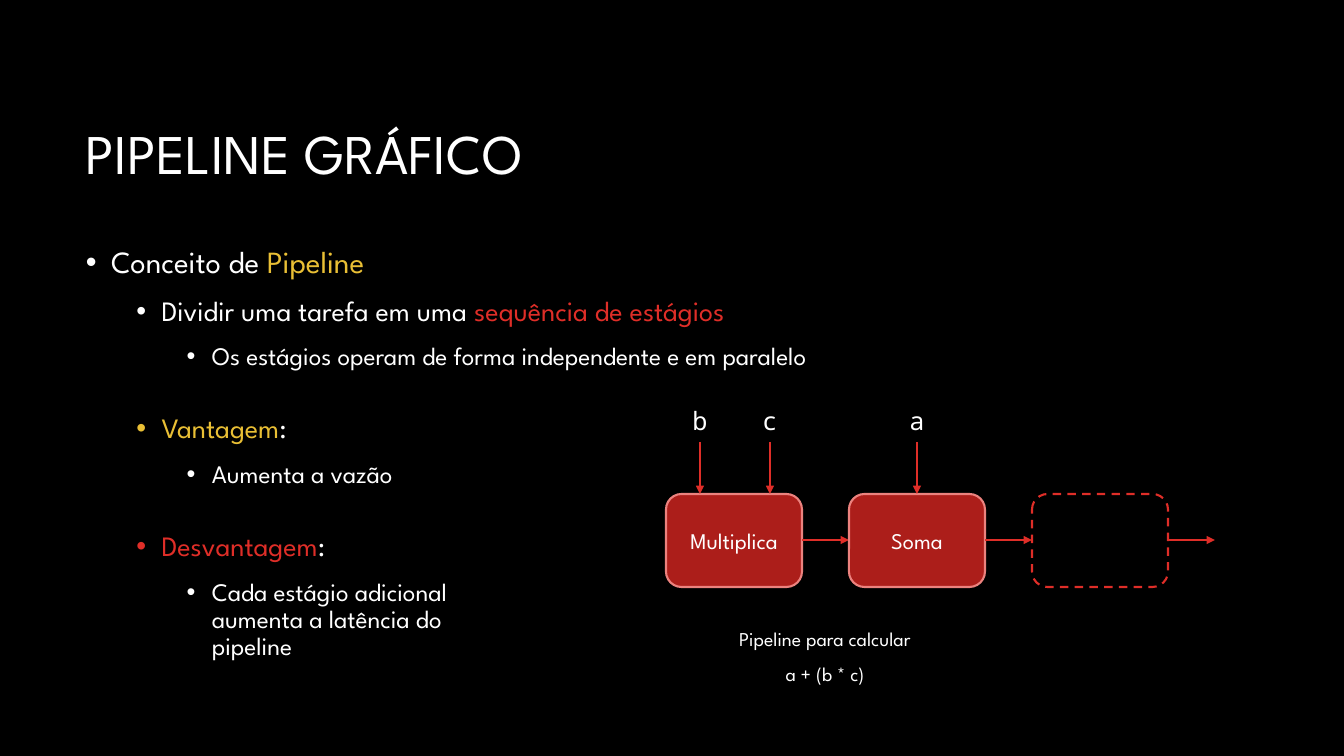
from lxml.etree import SubElement
from pptx import Presentation
from pptx.dml.color import RGBColor
from pptx.enum.dml import MSO_LINE
from pptx.enum.shapes import MSO_CONNECTOR, MSO_SHAPE
from pptx.enum.text import MSO_ANCHOR, PP_ALIGN
from pptx.oxml.ns import qn
from pptx.util import Emu, Pt

BLACK = RGBColor(0x00, 0x00, 0x00)
WHITE = RGBColor(0xFF, 0xFF, 0xFF)
GOLD = RGBColor(0xE9, 0xBF, 0x35)
RED = RGBColor(0xDF, 0x2E, 0x28)
DARK = RGBColor(0xAC, 0x1E, 0x1A)
PINK = RGBColor(0xEC, 0x82, 0x7E)
SANS = "League Spartan"
MONO = "Noto Sans Mono"
SIZES = (22, 20, 18)

POINTS = (
    (0, 10, [("Conceito de ", WHITE), ("Pipeline", GOLD)]),
    (1, 12, [("Dividir uma tarefa em uma ", WHITE), ("sequência de estágios", RED)]),
    (2, 12, [("Os estágios operam de forma independente e em paralelo", WHITE)]),
    (1, 31, [("Vantagem", GOLD), (":", WHITE)]),
    (2, 12, [("Aumenta a vazão", WHITE)]),
    (1, 31, [("Desvantagem", RED), (":", WHITE)]),
    (2, 12, [("Cada estágio adicional\naumenta a latência do\npipeline", WHITE)]),
)


def px(count):
    return Emu(round(count * 914400 / 100.8))


def apply(target, **values):
    for name, value in values.items():
        setattr(target, name, value)


def write(para, text, size, color=WHITE, face=SANS):
    for row, part in enumerate(text.split("\n")):
        if row:
            para.add_line_break()
        run = para.add_run()
        run.text = part
        apply(run.font, size=Pt(size), name=face)
        run.font.color.rgb = color


def frame(slide, box, **values):
    text = slide.shapes.add_textbox(*map(px, box)).text_frame
    apply(text, word_wrap=True, **values)
    return text


def label(slide, box, text, size, face=SANS, **values):
    para = frame(slide, box).paragraphs[0]
    apply(para, alignment=PP_ALIGN.CENTER, **values)
    write(para, text, size, face=face)


def title(slide, box):
    para = frame(slide, box, vertical_anchor=MSO_ANCHOR.MIDDLE).paragraphs[0]
    para.line_spacing = 0.9
    write(para, "PIPELINE GRÁFICO", 40)


def bullet(para, level):
    props = para._p.get_or_add_pPr()
    props.set("marL", str(228600 + 457200 * level))
    props.set("indent", "-228600")
    SubElement(props, qn("a:buFont"), typeface="Arial")
    SubElement(props, qn("a:buChar"), char="•")


def body(slide, box):
    text = frame(slide, box)
    for index, (level, before, runs) in enumerate(POINTS):
        para = text.add_paragraph() if index else text.paragraphs[0]
        apply(para, level=level, line_spacing=0.9, space_before=Pt(before))
        bullet(para, level)
        for words, color in runs:
            write(para, words, SIZES[level], color)


def arrow(slide, *ends):
    link = slide.shapes.add_connector(MSO_CONNECTOR.STRAIGHT, *map(px, ends))
    link.line.color.rgb = RED
    link.line.width = Pt(1.5)
    SubElement(link.line._get_or_add_ln(), qn("a:tailEnd"), type="triangle")
    SubElement(link._element.spPr, qn("a:effectLst"))


def stage(slide, box, text):
    shape = slide.shapes.add_shape(MSO_SHAPE.ROUNDED_RECTANGLE, *map(px, box))
    shape.shadow.inherit = False
    shape.line.width = Pt(1.5)
    if not text:
        shape.fill.background()
        shape.line.color.rgb = RED
        shape.line.dash_style = MSO_LINE.DASH
        return
    shape.fill.solid()
    shape.fill.fore_color.rgb = DARK
    shape.line.color.rgb = PINK
    apply(shape.text_frame, word_wrap=True, vertical_anchor=MSO_ANCHOR.MIDDLE)
    para = shape.text_frame.paragraphs[0]
    para.alignment = PP_ALIGN.CENTER
    write(para, text, 16)


def diagram(slide, box):
    left, top, width, height = box
    wide, tall, gap = 136, 93, 47
    row = top + 94
    for index, name in enumerate(("Multiplica", "Soma", "")):
        start = left + index * (wide + gap)
        stage(slide, (start, row, wide, tall), name)
        middle = row + tall // 2
        arrow(slide, start + wide, middle, start + wide + gap, middle)
    for name, shift in (("b", 34), ("c", 104), ("a", 251)):
        spot = left + shift
        label(slide, (spot - 20, top, 40, 40), name, 18, MONO)
        arrow(slide, spot, top + 42, spot, row)
    label(slide, (left + 23, top + height - 77, 272, 77),
          "Pipeline para calcular\na + (b * c)", 14, line_spacing=1.5)


def main():
    deck = Presentation()
    apply(deck, slide_width=px(1344), slide_height=px(756))
    slide = deck.slides.add_slide(deck.slide_layouts[6])
    slide.background.fill.solid()
    slide.background.fill.fore_color.rgb = BLACK
    title(slide, (76, 85, 1192, 142))
    body(slide, (76, 242, 1192, 444))
    diagram(slide, (666, 400, 549, 287))
    deck.save("out.pptx")


if __name__ == "__main__":
    main()
